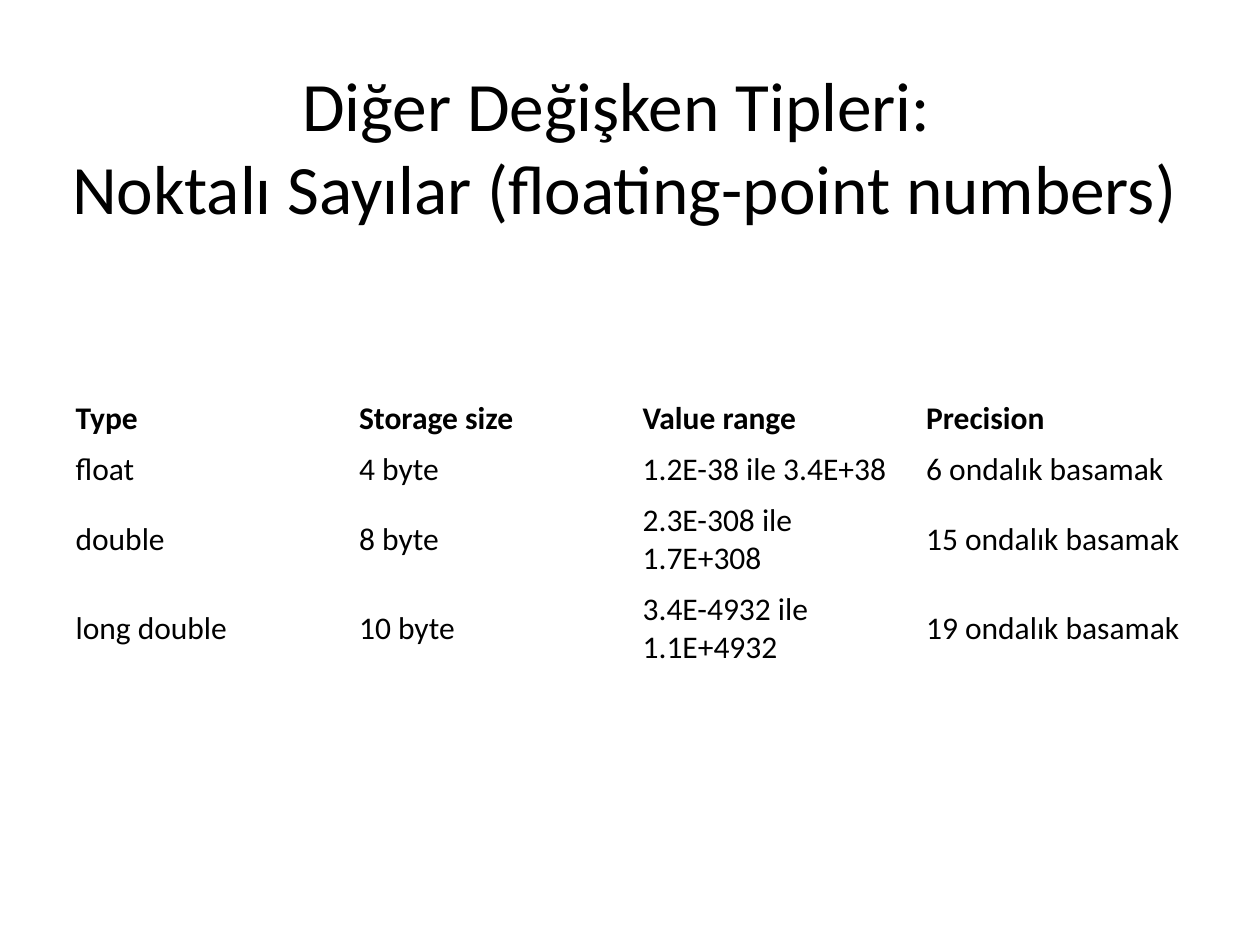
"""Build the slide on floating-point variable types."""
from dataclasses import astuple, dataclass

import pptx
import pptx.dml.color
import pptx.enum.text
import pptx.slide
import pptx.text.text
import pptx.util

EMU_PER_PIXEL = 914400 / 126
BLACK = pptx.dml.color.RGBColor(0, 0, 0)
FONT = "Calibri"
MIDDLE = pptx.enum.text.MSO_ANCHOR.MIDDLE
LINE_HEIGHT = 38
CELL_PADDING = 13


@dataclass(frozen=True)
class FloatType:
    name: str
    storage: str
    value_range: str
    precision: str


HEADINGS = FloatType("Type", "Storage size", "Value range", "Precision")
FLOAT_TYPES = [
    FloatType("float", "4 byte", "1.2E-38 ile 3.4E+38", "6 ondalık basamak"),
    FloatType("double", "8 byte", "2.3E-308 ile 1.7E+308", "15 ondalık basamak"),
    FloatType("long double", "10 byte", "3.4E-4932 ile 1.1E+4932", "19 ondalık basamak"),
]
ROW_LINES = [1, 1, 2, 2]


def px(pixels: int) -> pptx.util.Emu:
    return pptx.util.Emu(round(pixels * EMU_PER_PIXEL))


def style(paragraph: pptx.text.text._Paragraph, size: float, bold: bool = False) -> None:
    font = paragraph.font
    font.name, font.size, font.bold = FONT, pptx.util.Pt(size), bold
    font.color.rgb = BLACK


def draw_title(slide: pptx.slide.Slide, text: str) -> None:
    frame = slide.shapes.add_textbox(px(31), px(38), px(1187), px(214)).text_frame
    frame.word_wrap = True
    frame.vertical_anchor = MIDDLE
    heading = frame.paragraphs[0]
    heading.text = text
    heading.alignment = pptx.enum.text.PP_ALIGN.CENTER
    style(heading, 39.6)


def draw_types(slide: pptx.slide.Slide, entries: list[FloatType]) -> None:
    heights = [lines * LINE_HEIGHT + CELL_PADDING for lines in ROW_LINES]
    types = slide.shapes.add_table(
        len(entries), 4, px(63), px(393), px(1134), px(sum(heights))
    ).table
    types.first_row = types.horz_banding = False
    for index, (entry, height) in enumerate(zip(entries, heights)):
        types.rows[index].height = px(height)
        for cell, value in zip(types.rows[index].cells, astuple(entry)):
            cell.text = value
            cell.fill.background()
            cell.vertical_anchor = MIDDLE
            style(cell.text_frame.paragraphs[0], 18, bold=entry is HEADINGS)


def main() -> None:
    deck = pptx.Presentation()
    deck.slide_width, deck.slide_height = px(1260), px(945)
    slide = deck.slides.add_slide(deck.slide_layouts[6])
    draw_title(slide, "Diğer Değişken Tipleri: \vNoktalı Sayılar (floating-point numbers)")
    draw_types(slide, [HEADINGS, *FLOAT_TYPES])
    deck.save("out.pptx")


main()
